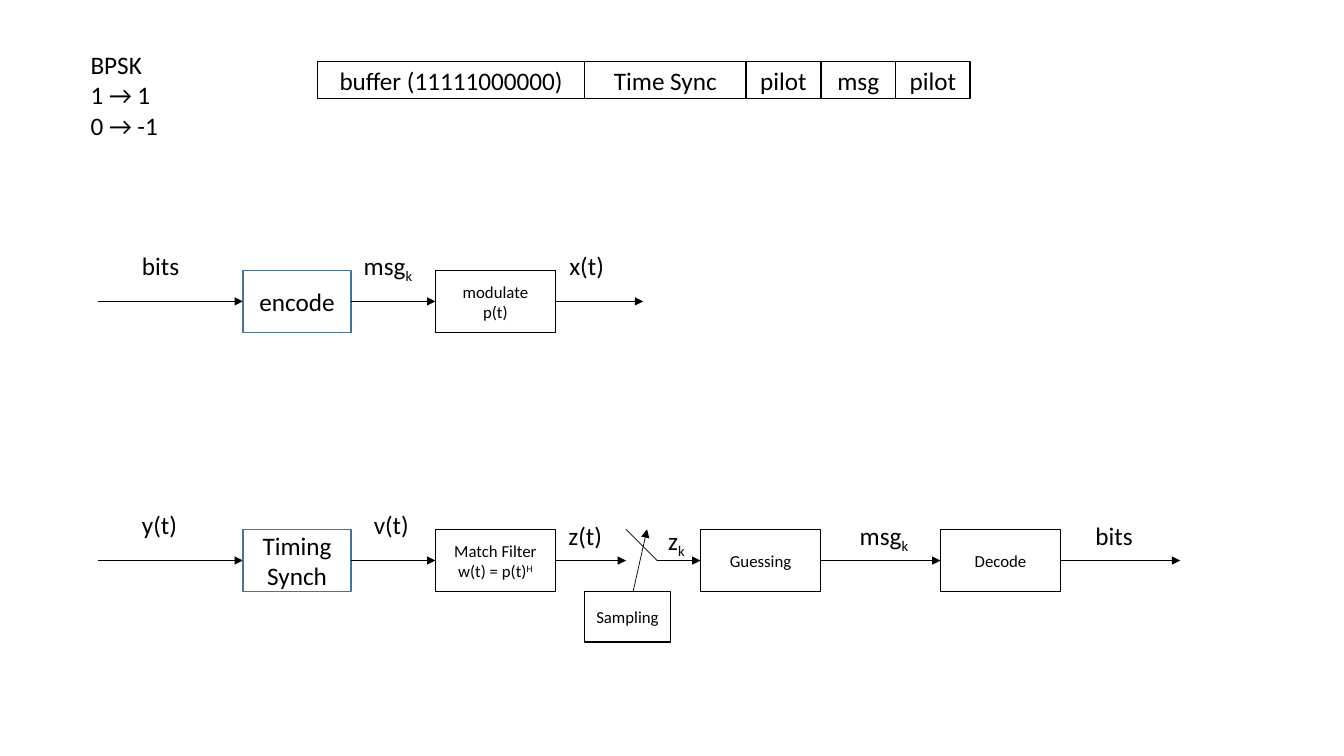
from lxml import etree
from pptx import Presentation
from pptx.dml.color import RGBColor
from pptx.enum import shapes, text
from pptx.oxml import ns
from pptx.util import Pt

COLORS = {"ink": "000000", "blue": "43739E"}
FONT = "Calibri"
LARGE, SMALL = 18, 12

# Content: "_" lowers and "^" raises the rest of a line
MAPPING = ["BPSK", "1 → 1", "0 → -1"]
FRAME = [("buffer (11111000000)", 190.9), ("Time Sync", 115.2),
         ("pilot", 53.5), ("msg", 53.3), ("pilot", 53.3)]

# Stages: left, width, lines, size, outline; a stage without lines is the switch
SWITCH = (447.1, 22.3, None, None, None)
CHAINS = [
    {"axis": 215.3, "start": 69.8, "end": 459.4,
     "stages": [(173.5, 77.3, ["encode"], LARGE, "blue"),
                (311, 85.8, ["modulate", "p(t)"], SMALL, "ink")],
     "signals": [("bits", 94.3, 175), ("msg_k", 252.7, 175), ("x(t)", 399.6, 175)]},
    {"axis": 400.4, "start": 69.8, "end": 843.1,
     "stages": [(173.5, 77.3, ["Timing Synch"], LARGE, "blue"),
                (311, 85.8, ["Match Filter", "w(t) = p(t)^H"], SMALL, "ink"),
                SWITCH,
                (500.4, 85.8, ["Guessing"], SMALL, "ink"),
                (671.8, 85.8, ["Decode"], SMALL, "ink")],
     "signals": [("y(t)", 94.3, 360), ("v(t)", 259.9, 360), ("z(t)", 398.9, 368),
                 ("z_k", 470.2, 371.5), ("msg_k", 607, 368), ("bits", 775.4, 368)]},
]
STAGE_HEIGHT = 44.6
FRAME_LEFT, FRAME_TOP, FRAME_HEIGHT = 226.8, 44, 26.6
SAMPLER_LEFT, SAMPLER_WIDTH, SAMPLER_HEIGHT = 417.6, 61.2, 36

deck = Presentation()
deck.slide_width, deck.slide_height = Pt(960), Pt(540)
page = deck.slides.add_slide(deck.slide_layouts[6])


def color(name):
    return RGBColor.from_string(COLORS[name])


def write(box, lines, size, align):
    frame = box.text_frame
    for number, line in enumerate(lines):
        para = frame.add_paragraph() if number else frame.paragraphs[0]
        para.alignment = align
        para.font.name, para.font.size = FONT, Pt(size)
        para.font.color.rgb = color("ink")
        mark, shift = ("^", 30000) if "^" in line else ("_", -25000)
        base, _, script = line.partition(mark)
        para.add_run().text = base
        if script:
            span = para.add_run()
            span.text = script
            span._r.get_or_add_rPr().set("baseline", str(shift))


def add_label(lines, left, top, width, height):
    box = page.shapes.add_textbox(Pt(left), Pt(top), Pt(width), Pt(height))
    box.text_frame.word_wrap = True
    write(box, lines, LARGE, text.PP_ALIGN.LEFT)


def add_block(lines, left, top, width, height, size, outline="ink"):
    box = page.shapes.add_shape(shapes.MSO_SHAPE.RECTANGLE,
                                Pt(left), Pt(top), Pt(width), Pt(height))
    box.shadow.inherit = False
    box.fill.background()
    box.line.color.rgb, box.line.width = color(outline), Pt(1)
    box.text_frame.word_wrap = True
    box.text_frame.vertical_anchor = text.MSO_ANCHOR.MIDDLE
    write(box, lines, size, text.PP_ALIGN.CENTER)


def add_wire(x1, y1, x2, y2, arrow=True):
    wire = page.shapes.add_connector(shapes.MSO_CONNECTOR.STRAIGHT,
                                     Pt(x1), Pt(y1), Pt(x2), Pt(y2))
    wire.line.color.rgb, wire.line.width = color("ink"), Pt(0.5)
    if arrow:
        etree.SubElement(wire.line._get_or_add_ln(), ns.qn("a:tailEnd"), type="triangle")
    etree.SubElement(wire._element.spPr, ns.qn("a:effectLst"))


def add_switch(left, width, axis):
    top, bottom = axis - STAGE_HEIGHT / 2, axis + STAGE_HEIGHT / 2
    add_wire(left + width, axis, left, top, arrow=False)
    add_wire(452.2, bottom, 462.2, top)
    add_block(["Sampling"], SAMPLER_LEFT, bottom, SAMPLER_WIDTH, SAMPLER_HEIGHT, SMALL)


# Bit mapping and message frame
add_label(MAPPING, 57.6, 31.7, 94.3, 72.7)
left = FRAME_LEFT
for field, width in FRAME:
    add_block([field], left, FRAME_TOP, width, FRAME_HEIGHT, LARGE)
    left += width

# Transmitter and receiver chains
for chain in CHAINS:
    axis, wire_start = chain["axis"], chain["start"]
    for left, width, lines, size, outline in chain["stages"]:
        add_wire(wire_start, axis, left, axis)
        if lines:
            add_block(lines, left, axis - STAGE_HEIGHT / 2, width, STAGE_HEIGHT, size, outline)
        else:
            add_switch(left, width, axis)
        wire_start = left + width
    add_wire(wire_start, axis, chain["end"], axis)
    for signal, left, top in chain["signals"]:
        add_label([signal], left, top, 56, 29)

deck.save("out.pptx")
